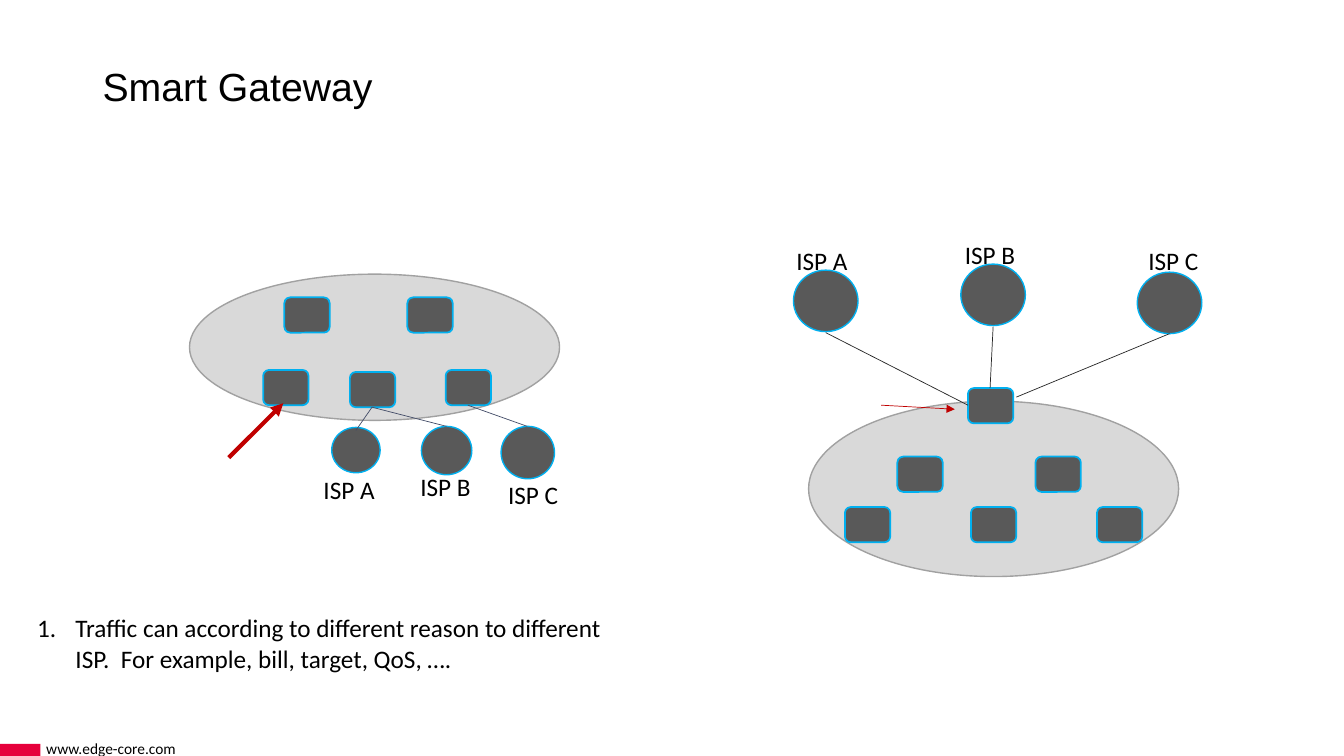
from lxml import etree
from pptx import Presentation
from pptx.dml.color import RGBColor
from pptx.enum.shapes import MSO_CONNECTOR, MSO_SHAPE
from pptx.enum.text import MSO_ANCHOR
from pptx.oxml.ns import qn
from pptx.util import Inches, Pt

ELLIPSE, RECTANGLE, ROUNDED = MSO_SHAPE.OVAL, MSO_SHAPE.RECTANGLE, MSO_SHAPE.ROUNDED_RECTANGLE
STRAIGHT = MSO_CONNECTOR.STRAIGHT
MIDDLE = MSO_ANCHOR.MIDDLE

COLORS = {
    "text": "000000", "brand": "E6003B", "cloud": "D9D9D9", "cloud_edge": "A1A1A1",
    "node": "595959", "node_edge": "00B0F0", "arrow": "C00000",
    "lower_link": "444D68", "upper_link": "262626",
}
ROUTER_SIZE = (0.45, 0.35)
LABEL_SIZE = (0.71, 0.4)

LOWER_EXITS = {
    "routers": [(0.94, 0.23), (2.16, 0.23), (0.73, 0.95), (1.59, 0.97), (2.54, 0.95)],
    "isps": [
        ("ISP A", (1.41, 1.52, 0.48, 0.45), (1.23, 1.94)),
        ("ISP B", (2.3, 1.51, 0.5, 0.48), (2.19, 1.91)),
        ("ISP C", (3.09, 1.51, 0.53, 0.52), (3.06, 1.99)),
    ],
    "links": [(1.81, 1.32, 2.55, 1.51), (1.81, 1.32, 1.65, 1.55), (2.76, 1.3, 3.35, 1.51)],
    "link_color": "lower_link",
    "arrow": (0.39, 1.82, 0.93, 1.28),
    "arrow_width": 3,
}
SINGLE_GATEWAY = {
    "routers": [(1.58, -0.13), (0.88, 0.55), (2.25, 0.55)]
    + [(0.36 + 1.25 * column, 1.05) for column in range(3)],
    "isps": [
        ("ISP A", (-0.15, -1.3, 0.64, 0.61), (-0.22, -1.6)),
        ("ISP B", (1.51, -1.36, 0.64, 0.61), (1.45, -1.65)),
        ("ISP C", (3.26, -1.28, 0.64, 0.61), (3.27, -1.6)),
    ],
    "links": [(0.17, -0.68, 1.58, 0.04), (1.83, -0.74, 1.8, -0.13), (3.58, -0.67, 2.06, -0.04)],
    "link_color": "upper_link",
    "arrow": (0.72, 0.04, 1.45, 0.08),
    "arrow_width": 0.5,
}


def rgb(name):
    """Return the named colour."""
    return RGBColor.from_string(COLORS[name])


def add_block(slide, kind, box, fill, edge=None, width=1):
    """Draw a filled preset shape, outlined if an edge colour is named."""
    block = slide.shapes.add_shape(kind, *map(Inches, box))
    block.shadow.inherit = False
    block.fill.solid()
    block.fill.fore_color.rgb = rgb(fill)
    if edge:
        block.line.color.rgb = rgb(edge)
        block.line.width = Pt(width)
    else:
        block.line.fill.background()


def add_label(slide, box, wording, size=18, font="Calibri", wrap=True):
    """Write one line of text in a box and return its text frame."""
    frame = slide.shapes.add_textbox(*map(Inches, box)).text_frame
    frame.word_wrap = wrap
    run = frame.paragraphs[0].add_run()
    run.text = wording
    run.font.size = Pt(size)
    run.font.name = font
    run.font.color.rgb = rgb("text")
    return frame


def add_link(slide, ends, color, width=0.5, arrow=False):
    """Draw a straight line, with an arrowhead at its end if asked."""
    link = slide.shapes.add_connector(STRAIGHT, *map(Inches, ends))
    link.line.color.rgb = rgb(color)
    link.line.width = Pt(width)
    if arrow:
        etree.SubElement(link.line._get_or_add_ln(), qn("a:tailEnd"), type="triangle")
    etree.SubElement(link._element.spPr, qn("a:effectLst"))


def add_network(slide, box, network):
    """Draw a cloud of routers with its ISPs, links and traffic arrow."""
    left, top = box[:2]

    def shifted(ends):
        return [value + origin for value, origin in zip(ends, (left, top, left, top))]

    add_block(slide, ELLIPSE, box, "cloud", "cloud_edge")
    for x, y in network["routers"]:
        add_block(slide, ROUNDED, (left + x, top + y, *ROUTER_SIZE), "node", "node_edge", 1.25)
    for name, (x, y, width, height), (label_x, label_y) in network["isps"]:
        add_block(slide, ELLIPSE, (left + x, top + y, width, height), "node", "node_edge")
        add_label(slide, (left + label_x, top + label_y, *LABEL_SIZE), name)
    for ends in network["links"]:
        add_link(slide, shifted(ends), network["link_color"])
    add_link(slide, shifted(network["arrow"]), "arrow", network["arrow_width"], arrow=True)


def add_title(slide, box):
    """Write the slide title."""
    frame = add_label(slide, box, "Smart Gateway", 28, "Arial")
    frame.vertical_anchor = MIDDLE
    frame.paragraphs[0].line_spacing = 0.9


def add_remark(slide, box):
    """Write the numbered remark."""
    wording = ("Traffic can according to different reason to different ISP.  "
               "For example, bill, target, QoS, ….")
    remark = add_label(slide, box, wording).paragraphs[0]
    properties = remark._p.get_or_add_pPr()
    indent = Inches(0.38)
    properties.set("marL", str(indent))
    properties.set("indent", str(-indent))
    etree.SubElement(properties, qn("a:buFont"), typeface="+mj-lt")
    etree.SubElement(properties, qn("a:buAutoNum"), type="arabicPeriod")


def add_footer(slide, box):
    """Draw the brand bar and the web address beside it."""
    left, top, width, height = box
    add_block(slide, RECTANGLE, (left, top + 0.1, 0.4, 0.12), "brand")
    add_label(slide, (left + 0.36, top, width - 0.36, height), "www.edge-core.com", 11, wrap=False)


def main():
    """Build and save the slide."""
    presentation = Presentation()
    presentation.slide_width = Inches(13.33)
    presentation.slide_height = Inches(7.5)
    slide = presentation.slides.add_slide(presentation.slide_layouts[6])
    add_footer(slide, (0, 7.28, 1.87, 0.29))
    add_title(slide, (0.92, 0.4, 11.5, 0.96))
    add_network(slide, (1.88, 2.72, 3.67, 1.45), LOWER_EXITS)
    add_remark(slide, (0.27, 6.03, 5.82, 0.71))
    add_network(slide, (8.02, 3.98, 3.67, 1.74), SINGLE_GATEWAY)
    presentation.save("out.pptx")


if __name__ == "__main__":
    main()
